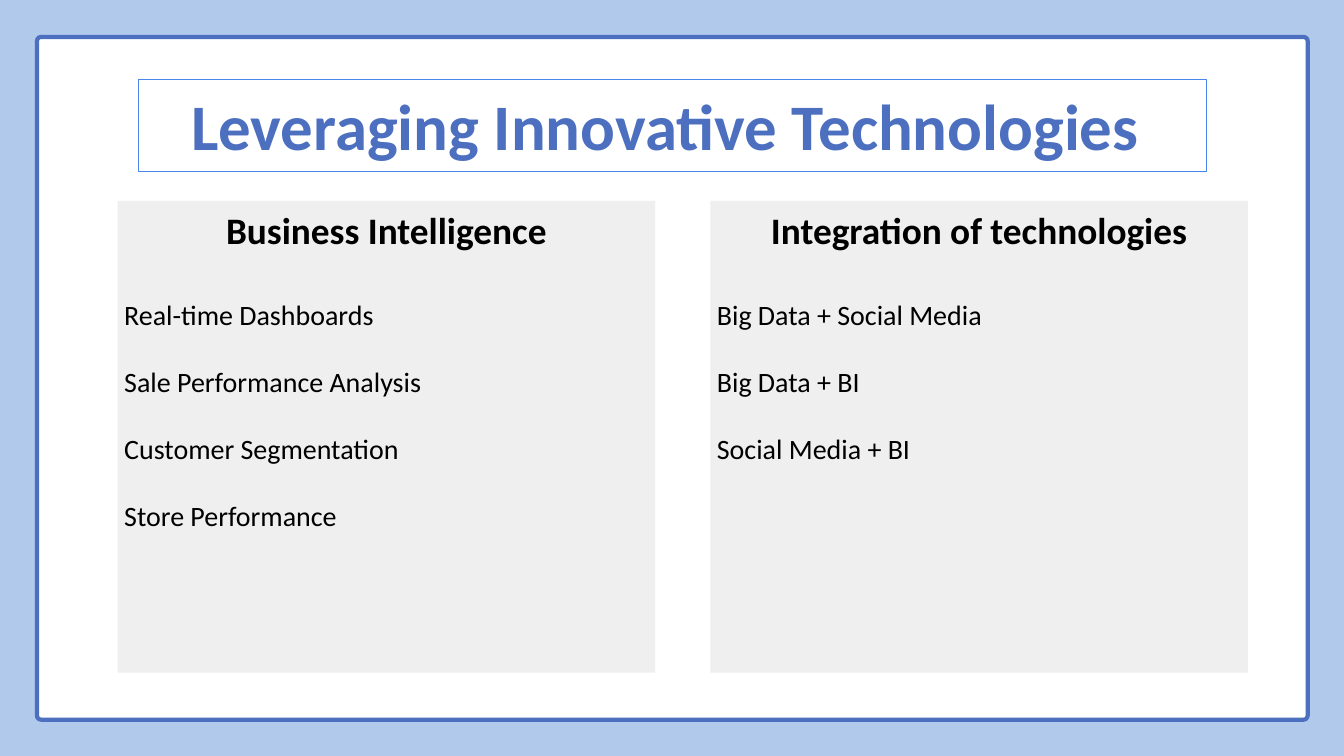
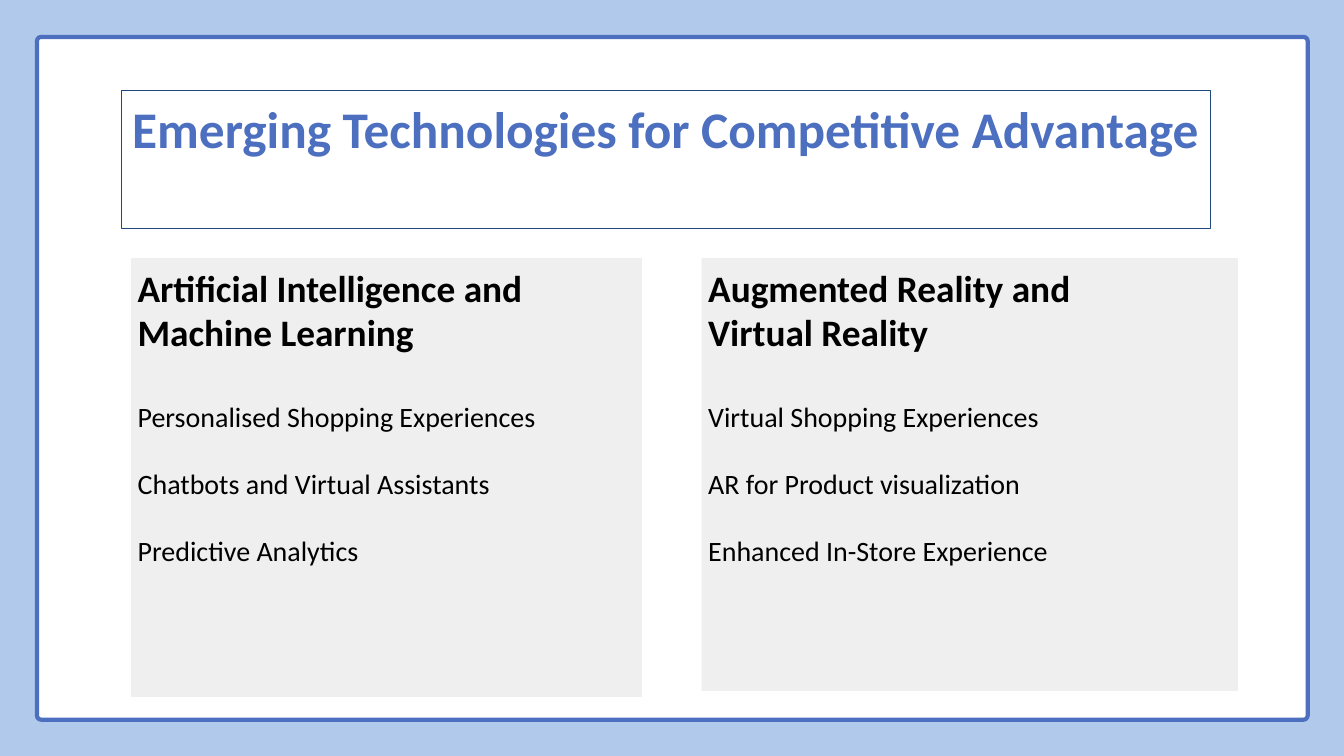
from pptx import Presentation
from pptx.dml import color
from pptx.enum import shapes, text
from pptx.util import Inches, Pt

HUES = {"sky": "B1C9EB", "white": "FFFFFF", "blue": "4C6FBF", "grey": "EFEFEF",
        "black": "000000", "azure": "4A86E8", "navy": "1F497D"}
FACE = "Calibri"
FRAME = (0.55, 0.55, 18.91, 10.16)
LEFT, MID = text.PP_ALIGN.LEFT, text.PP_ALIGN.CENTER
BODY = {"word_wrap": True, "auto_size": text.MSO_AUTO_SIZE.NONE,
        "vertical_anchor": text.MSO_ANCHOR.TOP,
        **{f"margin_{side}": Inches(0.1) for side in ("left", "top", "right", "bottom")}}
HEAD = {"size": Pt(40), "bold": True}
ITEM = {"size": Pt(30), "bold": False}

PAGES = [
    {"title": ("Leveraging Innovative Technologies ", (2.06, 1.18, 15.89, 1.37), 69.5, "azure"),
     "panels": [
         ((1.75, 2.99, 8, 7.02), MID, None, ["Business Intelligence"],
          ["Real-time Dashboards", "Sale Performance Analysis",
           "Customer Segmentation", "Store Performance"]),
         ((10.57, 2.99, 8, 7.02), MID, None, ["Integration of technologies"],
          ["Big Data + Social Media", "Big Data + BI", "Social Media + BI"])]},
    {"title": ("Emerging Technologies for Competitive Advantage", (1.8, 1.35, 16.21, 2.05), 55, "navy"),
     "panels": [
         ((1.95, 3.84, 7.59, 6.53), LEFT, "grey", ["Artificial Intelligence and Machine Learning"],
          ["Personalised Shopping Experiences", "Chatbots and Virtual Assistants",
           "Predictive Analytics"]),
         ((10.44, 3.84, 7.98, 6.44), LEFT, None, ["Augmented Reality and", "Virtual Reality"],
          ["Virtual Shopping Experiences", "AR for Product visualization",
           "Enhanced In-Store Experience"])]},
]


def put(thing, values):
    for name, value in values.items():
        setattr(thing, name, value)


def paint(fill, hue):
    fill.solid()
    fill.fore_color.rgb = color.RGBColor.from_string(HUES[hue])


def edge(shape, hue, width=0.75):
    if hue is None:
        shape.line.fill.background()
        return
    paint(shape.line.fill, hue)
    shape.line.width = Pt(width)


def block(slide, kind, box, fill, line=None, width=0.75):
    shape = slide.shapes.add_shape(kind, *map(Inches, box))
    shape.shadow.inherit = False
    paint(shape.fill, fill)
    edge(shape, line, width)
    return shape


def write(para, words, hue, align, style, before=0):
    para.text = words
    put(para, {"alignment": align, "space_before": Pt(before)})
    put(para.font, {"name": FACE, **style})
    para.font.color.rgb = color.RGBColor.from_string(HUES[hue])


def frame(slide):
    card = block(slide, shapes.MSO_SHAPE.ROUNDED_RECTANGLE, FRAME, "white", "blue", 4.5)
    card.adjustments[0] = 0.006
    slide.shapes._spTree.insert(2, card._element)


def title(slide, words, box, size, line):
    head = slide.shapes.title
    put(head, dict(zip(("left", "top", "width", "height"), map(Inches, box))))
    edge(head, line)
    put(head.text_frame, BODY)
    write(head.text_frame.paragraphs[0], words, "blue", MID, {"size": Pt(size), "bold": True})


def panel(slide, box, align, line, heads, items):
    frame = block(slide, shapes.MSO_SHAPE.RECTANGLE, box, "grey", line).text_frame
    put(frame, BODY)
    rows = [(words, align, HEAD, 0) for words in heads]
    rows += [(words, LEFT, ITEM, 36 if pos else 48) for pos, words in enumerate(items)]
    for pos, (words, side, style, gap) in enumerate(rows):
        para = frame.add_paragraph() if pos else frame.paragraphs[0]
        write(para, words, "black", side, style, gap)


def page(deck, data):
    slide = deck.slides.add_slide(deck.slide_layouts[5])
    frame(slide)
    title(slide, *data["title"])
    for part in data["panels"]:
        panel(slide, *part)


def main():
    deck = Presentation()
    put(deck, {"slide_width": Inches(20), "slide_height": Inches(11.25)})
    paint(deck.slide_master.background.fill, "sky")
    for data in PAGES:
        page(deck, data)
    deck.save("out.pptx")


if __name__ == "__main__":
    main()
